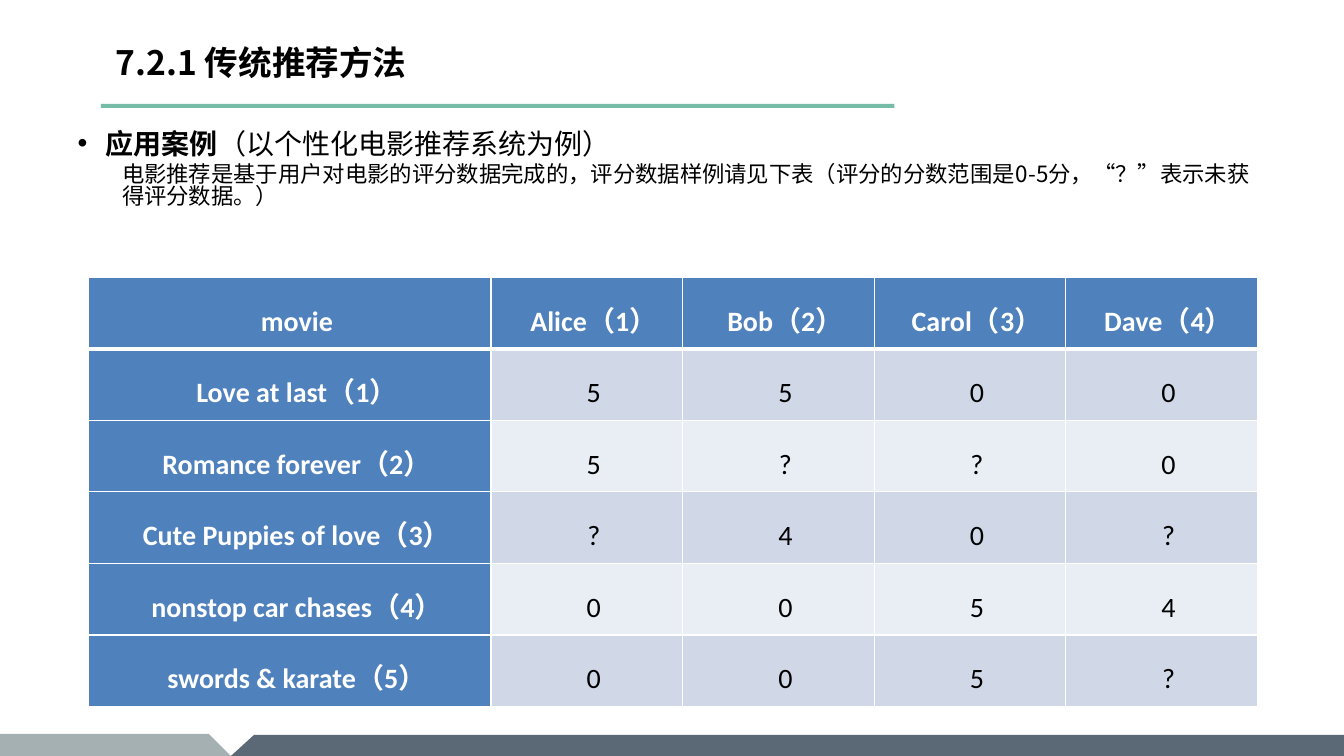
from pptx import Presentation, util as u
from pptx.dml import color
from pptx.enum import shapes, text
from pptx.oxml import ns, xmlchemy as x
from dataclasses import dataclass


@dataclass(frozen=True)
class Theme:
    ink: str = "000000"
    white: str = "FFFFFF"
    green: str = "75BDA7"
    navy: str = "243848"
    gray: str = "7A8C8E"
    blue: str = "4F81BD"
    bands: tuple = ("D0D8E8", "E9EDF4")
    cjk: str = "Noto Sans CJK SC"
    latin: str = "Calibri"
    head: int = 24
    main: int = 20
    small: int = 16


def put(item, vals):
    for key, val in vals.items():
        setattr(item, key, val)


def add(root, tag, **vals):
    item = x.OxmlElement(tag)
    for key, val in vals.items():
        item.set(key, str(val))
    root.append(item)
    return item


class Page:
    def __init__(self, deck, theme):
        self.theme = theme
        self.slide = deck.slides.add_slide(deck.slide_layouts[1])

    def paint(self, shape, tone, alpha=100):
        shape.shadow.inherit = False
        shape.fill.solid()
        shape.fill.fore_color.rgb = color.RGBColor.from_string(tone)
        shape.line.fill.background()
        if alpha < 100:
            tint = shape.fill._xPr.find(".//" + ns.qn("a:srgbClr"))
            add(tint, "a:alpha", val=alpha * 1000)

    def poly(self, points, tone, alpha):
        spots = [(u.Inches(a), u.Inches(b)) for a, b in points]
        form = self.slide.shapes.build_freeform(*spots[0])
        form.add_line_segments(spots[1:], close=True)
        self.paint(form.convert_to_shape(), tone, alpha)

    def bar(self, box, tone):
        kind = shapes.MSO_SHAPE.RECTANGLE
        self.paint(self.slide.shapes.add_shape(kind, *map(u.Inches, box)), tone)

    def run(self, para, words, size, bold=False, tone=None, face=None):
        run = para.add_run()
        run.text = words
        face = face or self.theme.cjk
        put(run.font, {"size": u.Pt(size), "bold": bold, "name": face})
        run.font.color.rgb = color.RGBColor.from_string(tone or self.theme.ink)
        add(run.font._element, "a:ea", typeface=face)

    def indent(self, para, left, first, mark=None):
        props = para._p.get_or_add_pPr()
        props.set("marL", str(u.Inches(left)))
        props.set("indent", str(u.Inches(first)))
        if mark:
            add(props, "a:buFont", typeface="Arial")
            add(props, "a:buChar", char=mark)
        else:
            add(props, "a:buNone")

    def holder(self, index, box, anchor):
        shape = self.slide.placeholders[index]
        put(shape, dict(zip(("left", "top", "width", "height"), map(u.Inches, box))))
        put(shape.text_frame, {"word_wrap": True, "vertical_anchor": anchor,
                               "auto_size": text.MSO_AUTO_SIZE.NONE})
        return shape.text_frame

    def title(self, words, box):
        para = self.holder(0, box, text.MSO_ANCHOR.MIDDLE).paragraphs[0]
        para.alignment = text.PP_ALIGN.LEFT
        self.indent(para, 0.75, -0.75)
        self.run(para, words, self.theme.head, True)

    def body(self, lead, rest, detail, box):
        frame = self.holder(1, box, text.MSO_ANCHOR.TOP)
        top, sub = frame.paragraphs[0], frame.add_paragraph()
        sub.level = 1
        for para in (top, sub):
            para.line_spacing = 0.83
        self.indent(top, 0.28, -0.28, "•")
        self.indent(sub, 0.44, 0)
        self.run(top, lead, self.theme.main, True)
        self.run(top, rest, self.theme.main)
        self.run(sub, detail, self.theme.small)

    def cell(self, cell, words, fill, strong, base):
        put(cell, {"margin_left": u.Inches(0.07), "margin_right": u.Inches(0.07),
                   "margin_top": 0, "margin_bottom": 0,
                   "vertical_anchor": text.MSO_ANCHOR.MIDDLE})
        props = cell._tc.get_or_add_tcPr()
        for side in "LRTB":
            width = base if side == "B" else 1
            line = add(props, "a:ln" + side, w=u.Pt(width))
            add(add(line, "a:solidFill"), "a:srgbClr", val=self.theme.white)
        cell.fill.solid()
        cell.fill.fore_color.rgb = color.RGBColor.from_string(fill)
        para = cell.text_frame.paragraphs[0]
        put(para, {"alignment": text.PP_ALIGN.CENTER, "line_spacing": 1.5})
        self.indent(para, 0, 0.14)
        tone = self.theme.white if strong else self.theme.ink
        self.run(para, words, self.theme.main, strong, tone, self.theme.latin)

    def table(self, rows, box, widths):
        size = len(rows), len(widths)
        grid = self.slide.shapes.add_table(*size, *map(u.Inches, box)).table
        for col, width in zip(grid.columns, widths):
            col.width = u.Inches(width)
        for r, row in enumerate(rows):
            for c, words in enumerate(row):
                strong = r == 0 or c == 0
                fill = self.theme.blue if strong else self.theme.bands[(r - 1) % 2]
                self.cell(grid.cell(r, c), words, fill, strong, 3 if r == 0 else 1)


RATES = [
    ("movie", "Alice（1）", "Bob（2）", "Carol（3）", "Dave（4）"),
    ("Love at last（1）", *"5500"),
    ("Romance forever（2）", *"5??0"),
    ("Cute Puppies of love（3）", *"?40?"),
    ("nonstop car chases（4）", *"0054"),
    ("swords & karate（5）", *"005?"),
]


def main():
    deck = Presentation()
    put(deck, {"slide_width": u.Inches(13.33), "slide_height": u.Inches(7.5)})
    theme = Theme()
    page = Page(deck, theme)
    page.poly([(2.29, 7.5), (2.52, 7.29), (13.33, 7.29), (13.33, 7.5)], theme.navy, 75)
    page.poly([(0, 7.28), (2.07, 7.28), (2.29, 7.5), (0, 7.5)], theme.gray, 68)
    page.bar((1, 1.03, 7.87, 0.04), theme.green)
    page.title("7.2.1 传统推荐方法", (1.05, 0.19, 8.32, 0.86))
    page.body("应用案例", "（以个性化电影推荐系统为例）",
              "电影推荐是基于用户对电影的评分数据完成的，评分数据样例请见下表"
              "（评分的分数范围是0-5分，“？”表示未获得评分数据。）",
              (0.67, 1.26, 12, 5.81))
    page.table(RATES, (0.88, 2.75, 11.58, 4.26), [3.99] + [1.9] * 4)
    deck.save("out.pptx")


if __name__ == "__main__":
    main()
